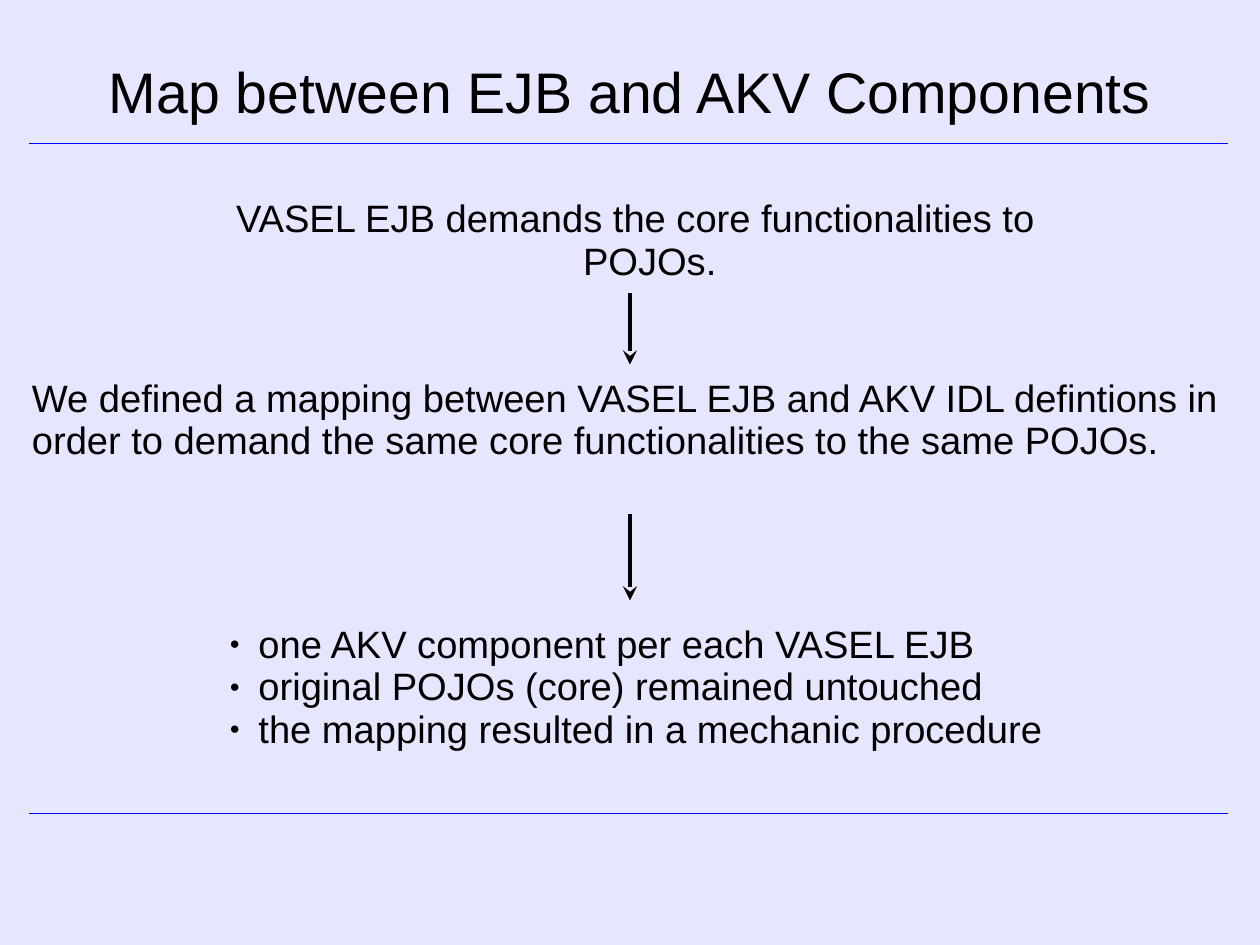
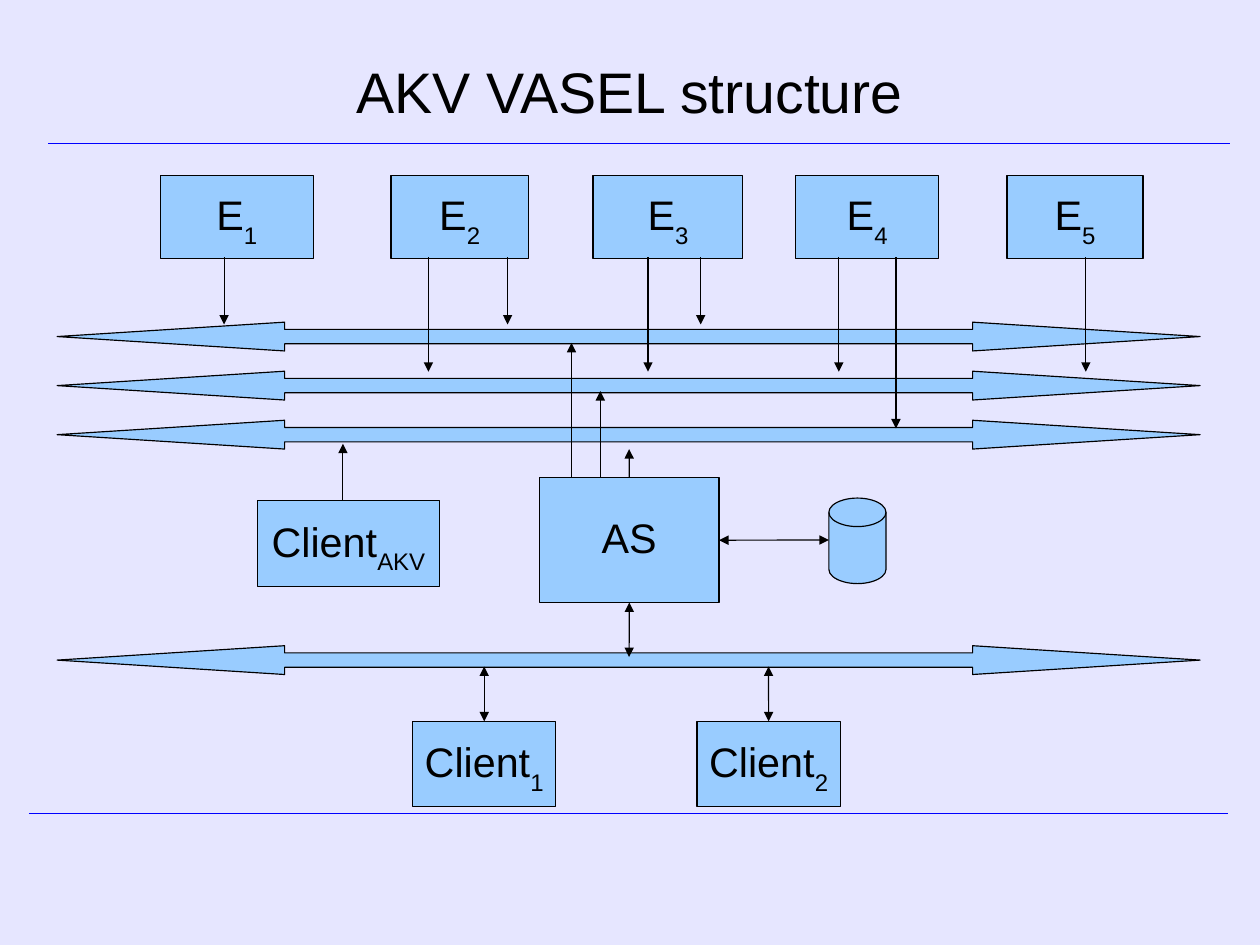
import pptx
import pptx.dml.color
import pptx.enum.shapes
import pptx.enum.text
import pptx.oxml
import pptx.oxml.ns
import pptx.util
from pptx.util import Cm

RGBColor = pptx.dml.color.RGBColor
SHAPE = pptx.enum.shapes.MSO_SHAPE
STRAIGHT = pptx.enum.shapes.MSO_CONNECTOR.STRAIGHT
ALIGN = pptx.enum.text.PP_ALIGN
ANCHOR = pptx.enum.text.MSO_ANCHOR

LAVENDER = RGBColor(0xE6, 0xE6, 0xFF)
BLUE = RGBColor(0x00, 0x00, 0xFF)
SKY = RGBColor(0x99, 0xCC, 0xFF)
BLACK = RGBColor(0x00, 0x00, 0x00)
FONT = "Arial"
TOP, BOTTOM, RIGHT = 0, 2, 3  # connection sites

# Slide 1: all lengths in cm
MAPPING_TITLE = "Map between EJB and AKV Components"
DEMAND = "VASEL EJB demands the core functionalities to POJOs."
DEFINITION = ("We defined a mapping between VASEL EJB and AKV IDL defintions in "
              "order to demand the same core functionalities to the same POJOs.")
RESULTS = [
    "one AKV component per each VASEL EJB",
    "original POJOs (core) remained untouched",
    "the mapping resulted in a mechanic procedure",
]
STEP_ARROWS = [(6.5, 8.1), (11.43, 13.34)]  # top, bottom

# Slide 2
STRUCTURE_TITLE = "AKV VASEL structure"
EXECUTORS = [(3.56, 3.4), (8.69, 3.05), (13.18, 3.33), (17.68, 3.18), (22.38, 3.02)]  # left, width
BOXES = [("E", str(number), left, 3.91, width, 1.83)
         for number, (left, width) in enumerate(EXECUTORS, 1)]
BOXES += [  # label, subscript, left, top, width, height
    ("Client", "1", 9.17, 16.03, 3.18, 1.9),
    ("Client", "2", 15.49, 16.03, 3.18, 1.9),
    ("Client", "AKV", 5.72, 11.13, 4.04, 1.9),
    ("AS", "", 11.99, 10.62, 3.99, 2.77),
]
DISK = (18.42, 11.07, 1.27, 1.9)
BUS_TOPS = [7.16 + 1.09 * row for row in range(3)] + [14.35]
EXECUTOR_ARROWS = [  # x, end
    (4.98, 7.21), (9.52, 8.26), (11.28, 7.21), (14.4, 8.26),
    (15.57, 7.21), (18.64, 8.26), (19.91, 9.52), (24.13, 8.26),
]
UPWARD_ARROWS = [(12.7, 10.59, 7.62), (13.34, 10.59, 8.69), (7.62, 11.13, 9.86)]  # x, start, end
JOINED_ARROWS = [  # box, site, end, double-headed
    ("AS", TOP, (13.98, 9.98), False),
    ("AS", BOTTOM, (13.98, 14.6), True),
    ("AS", RIGHT, (18.42, 12.0), True),
    ("Client1", TOP, (10.76, 14.81), True),
    ("Client2", TOP, (17.08, 14.81), True),
]


def place(shape, left, top, width, height):
    shape.left, shape.top, shape.width, shape.height = map(Cm, (left, top, width, height))


def append_xml(parent, tag, **attributes):
    child = pptx.oxml.parse_xml(f"<a:{tag} {pptx.oxml.ns.nsdecls('a')}/>")
    for name, value in attributes.items():
        child.set(name, value)
    parent.append(child)
    return child


def format_paragraph(paragraph, size, align=ALIGN.LEFT):
    paragraph.alignment = align
    paragraph.line_spacing = 0.93
    paragraph.space_before = pptx.util.Pt(0)
    paragraph.font.name = FONT
    paragraph.font.size = pptx.util.Pt(size)
    paragraph.font.color.rgb = BLACK


def hang(paragraph):
    """Indent the paragraph and let its first line hang; return its properties."""
    properties = paragraph._p.get_or_add_pPr()
    properties.set("marL", str(Cm(0.89)))
    properties.set("indent", str(Cm(-0.64)))
    return properties


def prepare_frame(shape, anchor, margin=None):
    frame = shape.text_frame
    frame.word_wrap = True
    frame.auto_size = pptx.enum.text.MSO_AUTO_SIZE.NONE
    frame.vertical_anchor = anchor
    if margin is not None:
        frame.margin_left = frame.margin_right = Cm(margin)
        frame.margin_top = frame.margin_bottom = Cm(margin)
    return frame


def add_line(slide, start, end, color=BLACK, width=0.75, head=None, tail=None):
    line = slide.shapes.add_connector(STRAIGHT, *map(Cm, start + end))
    line.line.color.rgb = color
    line.line.width = pptx.util.Pt(width)
    properties = line.element.spPr
    outline = properties.find(pptx.oxml.ns.qn("a:ln"))
    for tag, kind in (("headEnd", head), ("tailEnd", tail)):
        if kind:
            append_xml(outline, tag, type=kind)
    append_xml(properties, "effectLst")
    return line


def add_slide(presentation, layout_index, title, rule_left, rule_right):
    slide = presentation.slides.add_slide(presentation.slide_layouts[layout_index])
    place(slide.shapes.title, 1.4, 0.35, 25.2, 3.5)
    frame = prepare_frame(slide.shapes.title, ANCHOR.MIDDLE, 0)
    frame.text = title
    format_paragraph(frame.paragraphs[0], 36, ALIGN.CENTER)
    add_line(slide, (rule_left, 3.18), (rule_right, 3.18), BLUE)
    return slide


def add_footer_rule(master, slide):
    """Draw the line at the foot and hand it to the master, so every slide shows it."""
    rule = add_line(slide, (0.64, 18.08), (27.3, 18.08), BLUE)
    rule.element.nvCxnSpPr.cNvPr.set("id", "100")
    master.shapes.element.append(rule.element)


def add_text(slide, text, box, anchor, align):
    shape = slide.shapes.add_textbox(*map(Cm, box))
    frame = prepare_frame(shape, anchor, 0)
    frame.text = text
    format_paragraph(frame.paragraphs[0], 24, align)
    return frame.paragraphs[0]


def add_filled(slide, kind, left, top, width, height):
    shape = slide.shapes.add_shape(kind, *map(Cm, (left, top, width, height)))
    shape.shadow.inherit = False
    shape.fill.solid()
    shape.fill.fore_color.rgb = SKY
    shape.line.color.rgb = BLACK
    shape.line.width = pptx.util.Pt(0.75)
    return shape


def add_box(slide, label, subscript, *box):
    shape = add_filled(slide, SHAPE.FLOWCHART_PROCESS, *box)
    frame = prepare_frame(shape, ANCHOR.MIDDLE)
    frame.word_wrap = False
    paragraph = frame.paragraphs[0]
    paragraph.add_run().text = label
    if subscript:
        run = paragraph.add_run()
        run.text = subscript
        run._r.get_or_add_rPr().set("baseline", "-33000")
    format_paragraph(paragraph, 26, ALIGN.CENTER)
    return shape


def fill_results(body):
    place(body, 4.6, 13.74, 19.2, 3.07)
    frame = prepare_frame(body, ANCHOR.TOP)
    frame.text = "\n".join(RESULTS)
    for paragraph in frame.paragraphs:
        properties = hang(paragraph)
        append_xml(append_xml(properties, "buClr"), "srgbClr", val=str(BLACK))
        append_xml(properties, "buSzPct", val="45000")
        append_xml(properties, "buFont", typeface=FONT)
        append_xml(properties, "buChar", char="●")
        format_paragraph(paragraph, 24)


def build_mapping(presentation):
    slide = add_slide(presentation, 1, MAPPING_TITLE, 0.64, 27.3)
    hang(add_text(slide, DEMAND, (3.53, 4.42, 20.93, 1.88), ANCHOR.TOP, ALIGN.CENTER))
    add_text(slide, DEFINITION, (0.71, 8.41, 26.8, 1.88), ANCHOR.MIDDLE, ALIGN.LEFT)
    fill_results(slide.placeholders[1])
    for top, bottom in STEP_ARROWS:
        add_line(slide, (14, top), (14, bottom), width=3, tail="stealth")
    return slide


def build_structure(presentation):
    slide = add_slide(presentation, 5, STRUCTURE_TITLE, 1.07, 27.33)
    for top in BUS_TOPS:
        bus = add_filled(slide, SHAPE.LEFT_RIGHT_ARROW, 1.27, top, 25.4, 0.64)
        bus.adjustments[0], bus.adjustments[1] = 0.5, 7.9
    boxes = {box[0] + box[1]: add_box(slide, *box) for box in BOXES}
    add_filled(slide, SHAPE.FLOWCHART_MAGNETIC_DISK, *DISK)
    downward = [(x, 5.72, end) for x, end in EXECUTOR_ARROWS]
    for x, start, end in downward + UPWARD_ARROWS:
        add_line(slide, (x, start), (x, end), tail="triangle")
    for name, site, end, double in JOINED_ARROWS:
        arrow = add_line(slide, end, end, head="triangle" if double else None, tail="triangle")
        arrow.begin_connect(boxes[name], site)


def main():
    presentation = pptx.Presentation()
    presentation.slide_width, presentation.slide_height = Cm(28), Cm(21)
    master = presentation.slide_master
    master.background.fill.solid()
    master.background.fill.fore_color.rgb = LAVENDER
    add_footer_rule(master, build_mapping(presentation))
    build_structure(presentation)
    presentation.save("out.pptx")


if __name__ == "__main__":
    main()
